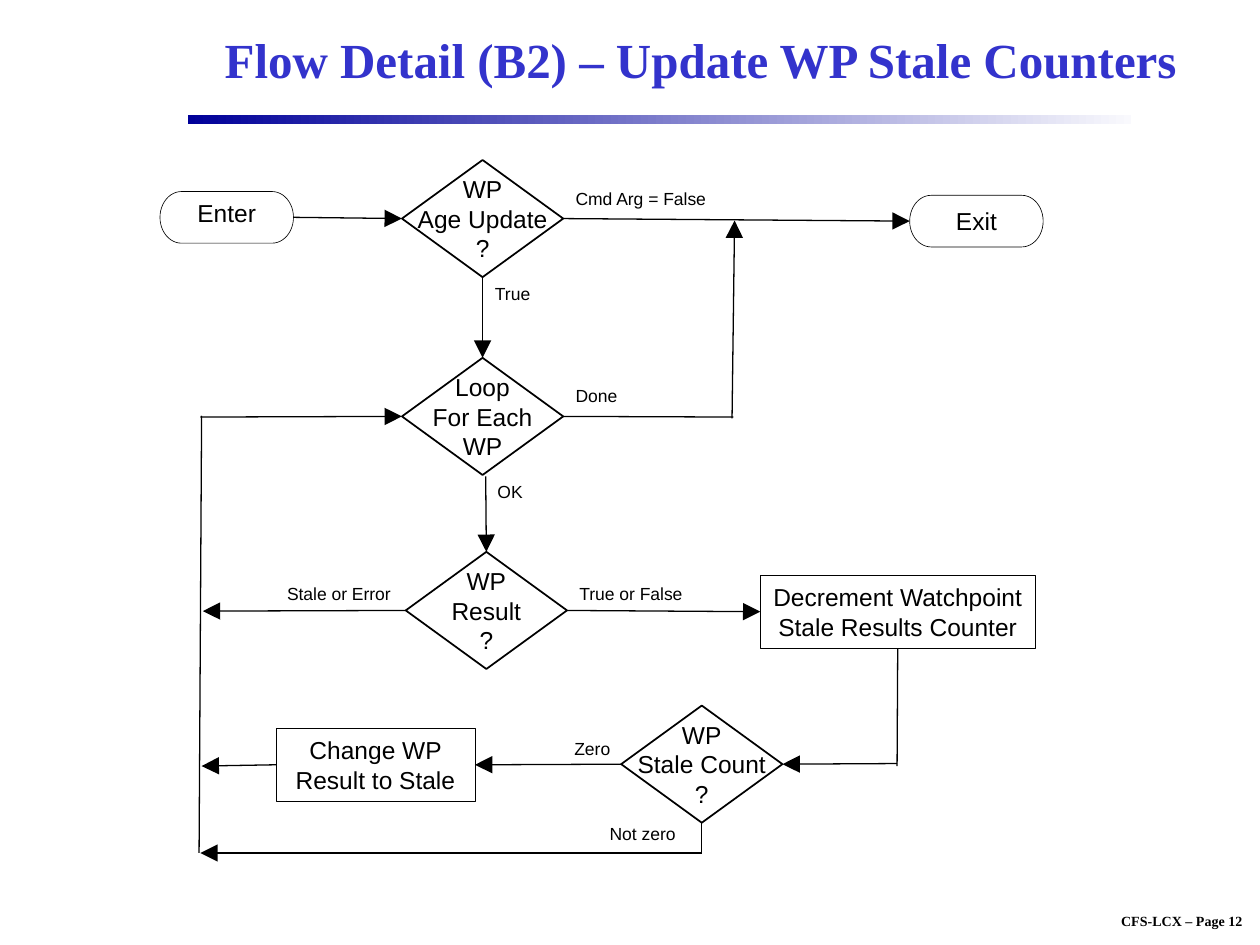
from dataclasses import dataclass

from lxml import etree
from pptx import Presentation
from pptx.dml.color import RGBColor
from pptx.enum.shapes import MSO_CONNECTOR, MSO_SHAPE
from pptx.enum.text import MSO_ANCHOR, PP_ALIGN
from pptx.oxml.ns import qn
from pptx.util import Inches, Pt

TERMINAL = MSO_SHAPE.FLOWCHART_TERMINATOR
DECISION = MSO_SHAPE.DIAMOND
PROCESS = MSO_SHAPE.RECTANGLE
STRAIGHT = MSO_CONNECTOR.STRAIGHT
LEFT, CENTER = PP_ALIGN.LEFT, PP_ALIGN.CENTER
TOP, MIDDLE = MSO_ANCHOR.TOP, MSO_ANCHOR.MIDDLE

NORTH, WEST, SOUTH, EAST = range(4)
COLORS = {"ink": "000000", "title": "3333CC", "bar_start": "000099", "bar_end": "F9F9FD"}
COLUMNS, ROWS = 100, 75
WIDTH, HEIGHT = Inches(10), Inches(7.5)
LINE_WEIGHT = {TERMINAL: 0.37, DECISION: 1, PROCESS: 0.5}
DECISION_SIZE = (12.8, 9.3)
TERMINAL_SIZE = (10.6, 4.1)
LOOP_COLUMN = 15.9


@dataclass(frozen=True)
class Node:
    name: str
    kind: int
    center: tuple[float, float]
    size: tuple[float, float]
    lines: tuple[str, ...]
    lift: float = 0


@dataclass(frozen=True)
class Label:
    text: str
    column: float
    row: float
    width: float


@dataclass(frozen=True)
class Joint:
    name: str
    side: int


@dataclass(frozen=True)
class Flow:
    start: Joint | tuple[float, float]
    end: Joint | tuple[float, float]
    arrow: bool = True


NODES = [
    Node("enter", TERMINAL, (18, 17.25), TERMINAL_SIZE, ("Enter",), 0.07),
    Node("exit", TERMINAL, (77.5, 17.55), TERMINAL_SIZE, ("Exit",)),
    Node("age", DECISION, (38.3, 17.35), DECISION_SIZE, ("WP", "Age Update", "?")),
    Node("loop", DECISION, (38.3, 33.05), DECISION_SIZE, ("Loop", "For Each", "WP")),
    Node("result", DECISION, (38.6, 48.45), DECISION_SIZE, ("WP", "Result", "?")),
    Node("count", DECISION, (55.7, 60.65), DECISION_SIZE, ("WP", "Stale Count", "?")),
    Node("decrement", PROCESS, (71.25, 48.55), (21.8, 5.8),
         ("Decrement Watchpoint Stale Results Counter",)),
    Node("change", PROCESS, (29.8, 60.7), (15.8, 5.8), ("Change WP Result to Stale",)),
]

LABELS = [
    Label("Cmd Arg = False", 44.7, 14.4, 13.4),
    Label("True", 38.3, 22, 5.8),
    Label("Done", 44.7, 30.1, 6.3),
    Label("OK", 38.5, 37.7, 5),
    Label("Stale or Error", 21.8, 45.8, 11.2),
    Label("True or False", 45, 45.8, 11.2),
    Label("Zero", 44.6, 58.1, 5.8),
    Label("Not zero", 47.4, 64.8, 8.2),
]

FLOWS = [
    Flow(Joint("enter", EAST), Joint("age", WEST)),
    Flow(Joint("age", EAST), Joint("exit", WEST)),
    Flow(Joint("age", SOUTH), Joint("loop", NORTH)),
    Flow(Joint("loop", EAST), (58.2, 33.1), False),
    Flow((58.1, 33.2), (58.3, 17.5)),
    Flow((38.55, 37.8), Joint("result", NORTH)),
    Flow(Joint("result", WEST), (16.1, 48.5)),
    Flow(Joint("result", EAST), Joint("decrement", WEST)),
    Flow(Joint("decrement", SOUTH), (71.2, 60.8), False),
    Flow((71.2, 60.6), Joint("count", EAST)),
    Flow(Joint("count", WEST), Joint("change", EAST)),
    Flow(Joint("change", WEST), (16, 60.8)),
    Flow(Joint("count", SOUTH), (55.7, 67.6), False),
    Flow((55.7, 67.7), (LOOP_COLUMN, 67.7)),
    Flow((15.8, 67.7), (16, 33), False),
    Flow((LOOP_COLUMN, 33.1), Joint("loop", WEST)),
]


def across(columns: float) -> int:
    return round(WIDTH * columns / COLUMNS)


def down(rows: float) -> int:
    return round(HEIGHT * rows / ROWS)


def color(name: str) -> RGBColor:
    return RGBColor.from_string(COLORS[name])


def write(box, *lines: str, size: float = 14, font: str = "Arial", ink: str = "ink",
          bold: bool = False, align=CENTER, anchor=MIDDLE, wrap: bool = True,
          lift: float = 0) -> None:
    frame = box.text_frame
    frame.word_wrap = wrap
    frame.vertical_anchor = anchor
    frame.margin_left = frame.margin_right = Inches(0.1)
    frame.margin_top = Inches(0.05)
    frame.margin_bottom = Inches(0.05 + lift)
    for index, line in enumerate(lines):
        para = frame.add_paragraph() if index else frame.paragraphs[0]
        para.alignment = align
        span = para.add_run()
        span.text = line
        span.font.size = Pt(size)
        span.font.name = font
        span.font.bold = bold
        span.font.color.rgb = color(ink)


def add_text(page, column: float, row: float, width: float, height: float,
             text: str, **style) -> None:
    box = page.shapes.add_textbox(across(column), down(row), across(width), down(height))
    write(box, text, **style)


def add_bar(page) -> None:
    bar = page.shapes.add_shape(PROCESS, across(14.9), down(9.15), across(74.9), down(0.7))
    bar.shadow.inherit = False
    bar.line.fill.background()
    bar.fill.gradient()
    bar.fill.gradient_angle = 0
    for stop, name in zip(bar.fill.gradient_stops, ("bar_start", "bar_end")):
        stop.color.rgb = color(name)


def add_node(page, node: Node):
    (column, row), (width, height) = node.center, node.size
    shape = page.shapes.add_shape(node.kind, across(column - width / 2),
                                  down(row - height / 2), across(width), down(height))
    shape.shadow.inherit = False
    shape.fill.background()
    shape.line.color.rgb = color("ink")
    shape.line.width = Pt(LINE_WEIGHT[node.kind])
    write(shape, *node.lines, wrap=node.kind == PROCESS, lift=node.lift)
    return shape


def add_flow(page, flow: Flow, shapes: dict) -> None:
    points = [(0, 0) if isinstance(point, Joint) else (across(point[0]), down(point[1]))
              for point in (flow.start, flow.end)]
    connector = page.shapes.add_connector(STRAIGHT, *points[0], *points[1])
    if isinstance(flow.start, Joint):
        connector.begin_connect(shapes[flow.start.name], flow.start.side)
    if isinstance(flow.end, Joint):
        connector.end_connect(shapes[flow.end.name], flow.end.side)
    connector.line.color.rgb = color("ink")
    connector.line.width = Pt(0.75)
    if flow.arrow:
        etree.SubElement(connector.line._get_or_add_ln(), qn("a:tailEnd"),
                         type="triangle", w="lg", len="lg")
    etree.SubElement(connector._element.spPr, qn("a:effectLst"))


def main() -> None:
    deck = Presentation()
    deck.slide_width, deck.slide_height = WIDTH, HEIGHT
    page = deck.slides.add_slide(deck.slide_layouts[6])
    add_text(page, 87.6, 71.9, 12.4, 2.3, "CFS-LCX – Page 12", size=8,
             font="Times New Roman", bold=True)
    add_bar(page)
    add_text(page, 15, 0.9, 81.2, 7.5, "Flow Detail (B2) – Update WP Stale Counters",
             size=28, font="Times New Roman", ink="title", bold=True)
    shapes = {node.name: add_node(page, node) for node in NODES}
    for flow in FLOWS:
        add_flow(page, flow, shapes)
    for label in LABELS:
        add_text(page, label.column, label.row, label.width, 2.7, label.text,
                 size=10, align=LEFT, anchor=TOP)
    deck.save("out.pptx")


if __name__ == "__main__":
    main()
